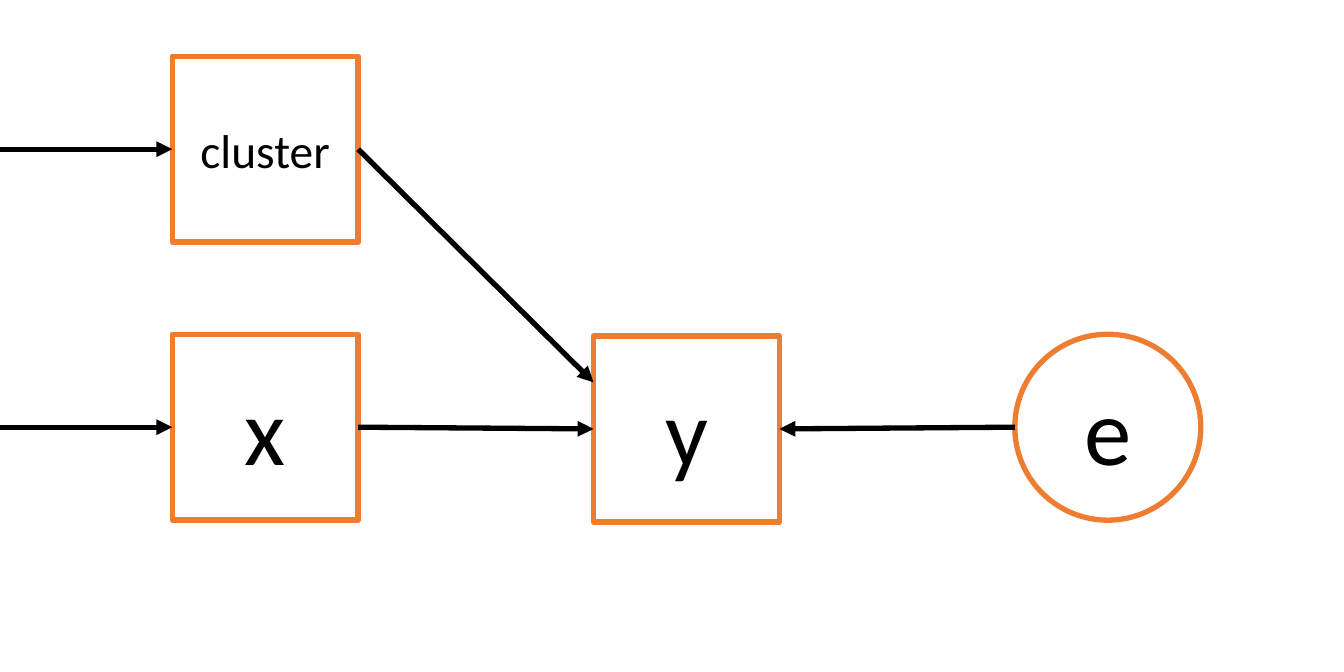
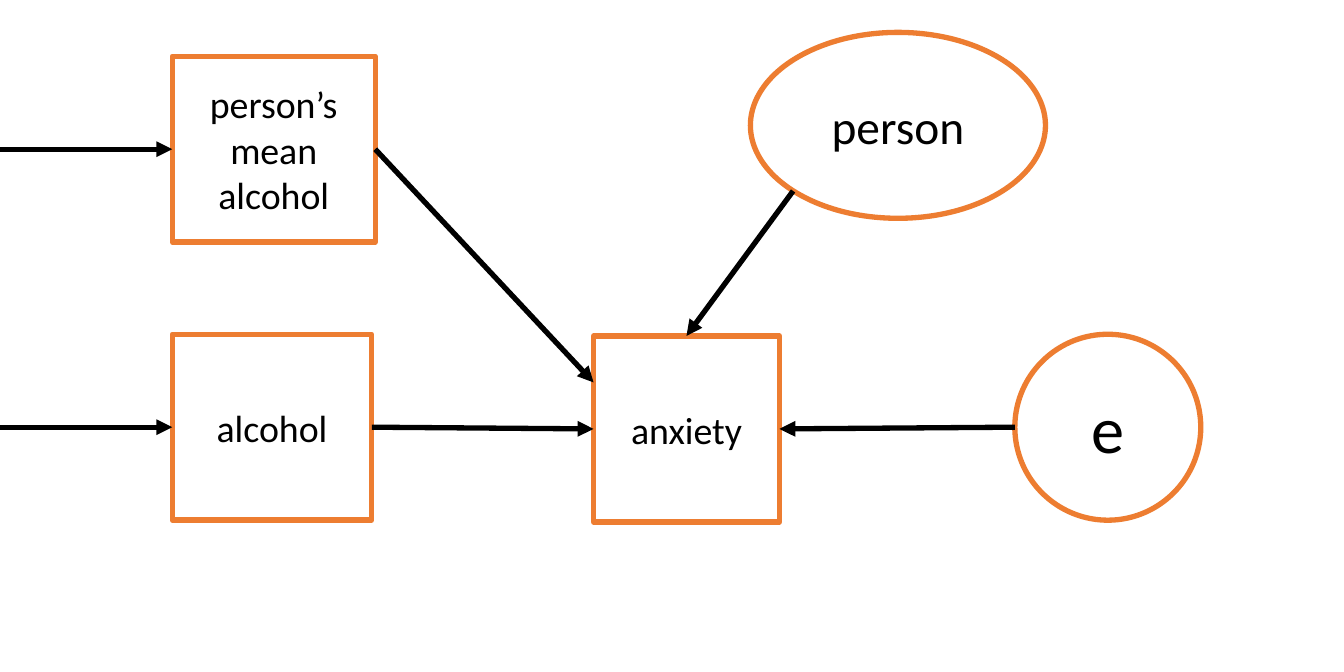
"""Build two path diagrams of a cluster mean and its within-cluster predictor."""
from dataclasses import dataclass

from lxml import etree
from pptx import Presentation
from pptx import util as u
from pptx.dml.color import RGBColor
from pptx.enum import shapes, text
from pptx.oxml.ns import qn

RECT, OVAL = shapes.MSO_SHAPE.RECTANGLE, shapes.MSO_SHAPE.OVAL
LEFT, RIGHT = 1, 3


@dataclass(frozen=True)
class Theme:
    """Colours, type sizes and line width shared by both slides."""
    font: str = "Calibri"
    paper: RGBColor = RGBColor(0xFF, 0xFF, 0xFF)
    ink: RGBColor = RGBColor(0, 0, 0)
    outline: RGBColor = RGBColor(0xED, 0x7D, 0x31)
    stroke: float = 2.25
    symbol: int = 40
    error: int = 28
    name: int = 20
    phrase: int = 16


THEME = Theme()
SLIDE_W, SLIDE_H = 7.88, 3.94
NODE = 1.09
COLUMNS = [1.01 + 2.47 * step for step in range(3)]
TOP_ROW, BOTTOM_ROW = 0.33, 1.96
OUTCOME_ROW = BOTTOM_ROW + 0.01


def add_node(slide, label, size, left, top, width=NODE, outline=RECT):
    """Draw one variable as an outlined shape with a centred label."""
    node = slide.shapes.add_shape(
        outline, *(u.Inches(value) for value in (left, top, width, NODE)))
    node.shadow.inherit = False
    node.fill.solid()
    node.fill.fore_color.rgb = THEME.paper
    node.line.color.rgb = THEME.outline
    node.line.width = u.Pt(THEME.stroke)
    frame = node.text_frame
    frame.word_wrap = True
    frame.vertical_anchor = text.MSO_ANCHOR.MIDDLE
    frame.text = label
    paragraph = frame.paragraphs[0]
    paragraph.alignment = text.PP_ALIGN.CENTER
    font = paragraph.runs[0].font
    font.name, font.size = THEME.font, u.Pt(size)
    font.color.rgb = THEME.ink
    return node


def side(node, site):
    """Return the middle of a node's left or right side."""
    x = node.left + (node.width if site == RIGHT else 0)
    return x, node.top + node.height // 2


def point(x, y):
    """Return a position in inches as lengths."""
    return u.Inches(x), u.Inches(y)


def add_arrow(slide, start, end, source=None, target=None):
    """Draw an arrow, joined to (rectangle, site) pairs where given."""
    arrow = slide.shapes.add_connector(shapes.MSO_CONNECTOR.STRAIGHT, *start, *end)
    if source:
        arrow.begin_connect(*source)
    if target:
        arrow.end_connect(*target)
    arrow.line.color.rgb = THEME.ink
    arrow.line.width = u.Pt(THEME.stroke)
    etree.SubElement(arrow.line._get_or_add_ln(), qn("a:tailEnd"), type="triangle")
    etree.SubElement(arrow._element.spPr, qn("a:effectLst"))


def add_model(prs, mean, predictor, outcome, error):
    """Add a slide with the four variables and the paths between them."""
    slide = prs.slides.add_slide(prs.slide_layouts[6])
    first, middle, last = COLUMNS
    outcome_node = add_node(slide, *outcome, middle, OUTCOME_ROW)
    predictor_node = add_node(slide, *predictor[:2], first, BOTTOM_ROW, *predictor[2:])
    mean_node = add_node(slide, *mean[:2], first, TOP_ROW, *mean[2:])
    error_node = add_node(slide, *error, last, BOTTOM_ROW, outline=OVAL)

    for node in (mean_node, predictor_node):
        entry = side(node, LEFT)
        add_arrow(slide, (0, entry[1]), entry, target=(node, LEFT))
    add_arrow(slide, side(predictor_node, RIGHT), side(outcome_node, LEFT),
              (predictor_node, RIGHT), (outcome_node, LEFT))
    add_arrow(slide, side(error_node, LEFT), side(outcome_node, RIGHT),
              target=(outcome_node, RIGHT))
    add_arrow(slide, side(mean_node, RIGHT), point(middle, OUTCOME_ROW + NODE / 4),
              source=(mean_node, RIGHT))
    return slide


def add_random_effect(slide, label):
    """Add the oval random effect and its path to the top of the outcome."""
    add_node(slide, label, THEME.name, 4.4, 0.19, 1.73, OVAL)
    add_arrow(slide, point(4.65, 1.12), point(COLUMNS[1] + NODE / 2, OUTCOME_ROW))


def main():
    """Build both diagrams and save the presentation."""
    prs = Presentation()
    prs.slide_width, prs.slide_height = point(SLIDE_W, SLIDE_H)
    add_model(prs, mean=("cluster", THEME.name), predictor=("x", THEME.symbol),
              outcome=("y", THEME.symbol), error=("e", THEME.symbol))
    example = add_model(prs, mean=("person’s mean alcohol", THEME.phrase, 1.19),
                        predictor=("alcohol", THEME.phrase, 1.17),
                        outcome=("anxiety", THEME.phrase), error=("e", THEME.error))
    add_random_effect(example, "person")
    prs.save("out.pptx")


if __name__ == "__main__":
    main()
